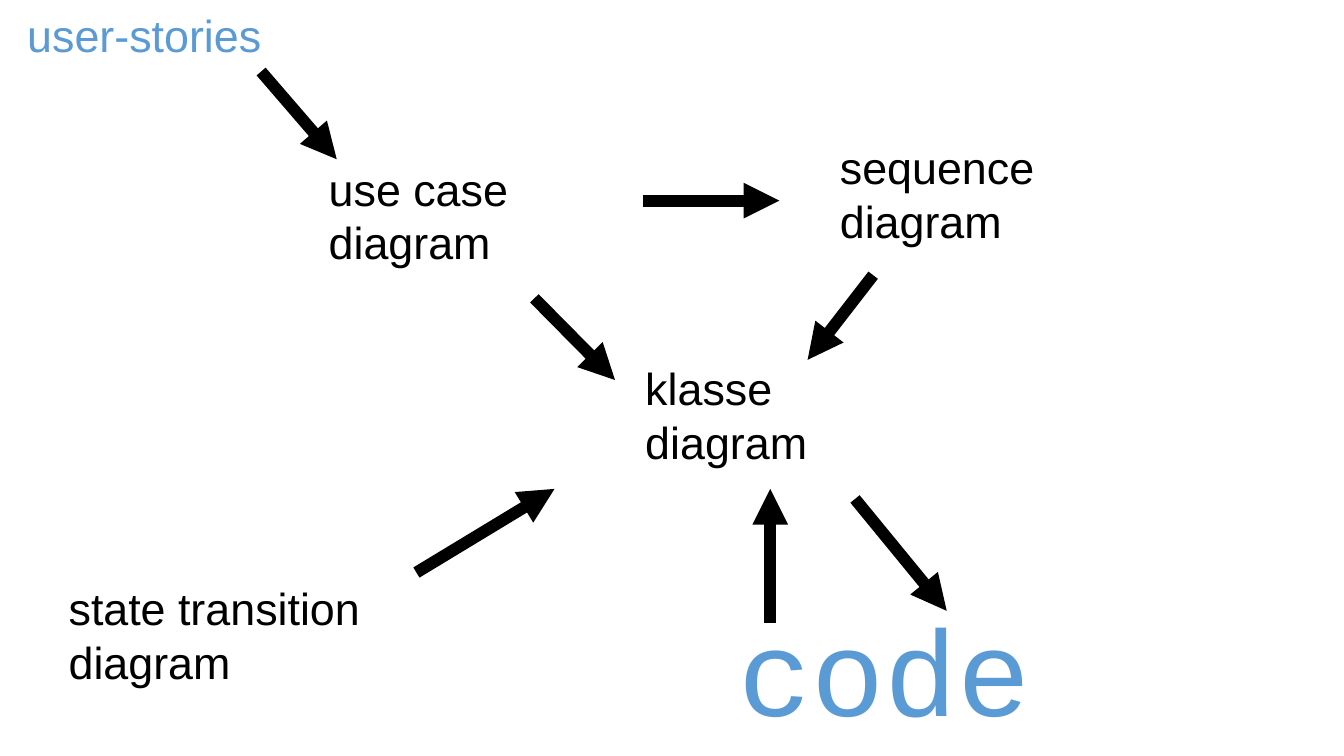
from lxml import etree
from pptx import Presentation
from pptx.dml.color import RGBColor
from pptx.enum.shapes import MSO_CONNECTOR
from pptx.enum.text import MSO_ANCHOR, PP_ALIGN
from pptx.oxml.ns import qn
from pptx.util import Inches, Pt

STRAIGHT = MSO_CONNECTOR.STRAIGHT
TOP = MSO_ANCHOR.TOP
LEFT = PP_ALIGN.LEFT
COLORS = {"diagram": "000000", "artifact": "5B9BD5", "background": "FFFFFF"}

DIAGRAMS = [
    (["use case", "diagram"], (3.17, 1.52, 2.7, 1.33)),
    (["klasse", "diagram"], (6.31, 3.5, 2.36, 1.33)),
    (["sequence", "diagram"], (8.24, 1.31, 3, 1.33)),
    (["state transition", "diagram"], (0.59, 5.68, 4.21, 1.33)),
]
ARROWS = [
    ((2.59, 0.71), (3.34, 1.58)),
    ((5.3, 2.96), (6.1, 3.77)),
    ((6.38, 1.99), (7.73, 1.99)),
    ((8.66, 2.73), (8.01, 3.57)),
    ((4.13, 5.68), (5.5, 4.85)),
    ((7.64, 6.18), (7.64, 4.85)),
    ((8.48, 4.95), (9.39, 6.06)),
]


def add_text(slide, lines, box, *, size=32, font="Arial", color="diagram",
             inset_top=0.08, spacing=1.0, wrap=True):
    """Write one paragraph per line in a text box."""
    shape = slide.shapes.add_textbox(*map(Inches, box))
    frame = shape.text_frame
    frame.word_wrap = wrap
    frame.vertical_anchor = TOP
    frame.margin_left = frame.margin_right = Inches(0.09)
    frame.margin_top = Inches(inset_top)
    frame.margin_bottom = Inches(0.04)
    frame.text = "\n".join(lines)
    for paragraph in frame.paragraphs:
        paragraph.alignment = LEFT
        paragraph.line_spacing = spacing
        paragraph.font.size = Pt(size)
        paragraph.font.name = font
        paragraph.font.color.rgb = RGBColor.from_string(COLORS[color])


def add_arrow(slide, start, end, width=8.5):
    """Draw a thick arrow from start to end."""
    connector = slide.shapes.add_connector(STRAIGHT, *map(Inches, start + end))
    connector.line.width = Pt(width)
    connector.line.color.rgb = RGBColor.from_string(COLORS["diagram"])
    line = connector.line._get_or_add_ln()
    etree.SubElement(line, qn("a:tailEnd"), type="triangle")
    etree.SubElement(connector._element.spPr, qn("a:effectLst"))


def add_flow(slide, box):
    """Place the artifacts, diagrams and arrows relative to the box."""
    left, top = box[:2]

    def place(area):
        """Shift an area by the corner of the box."""
        return (left + area[0], top + area[1]) + area[2:]

    add_text(slide, ["user-stories"], place((0.18, 0, 4.11, 0.71)), color="artifact")
    for lines, area in DIAGRAMS:
        add_text(slide, lines, place(area))
    add_text(slide, ["code"], place((7.23, 5.9, 3.86, 1.46)), size=87.1,
             font="Courier New", color="artifact", inset_top=0.12, spacing=0.94)
    for start, end in ARROWS:
        add_arrow(slide, place(start), place(end))


def main():
    """Build and save the slide."""
    presentation = Presentation()
    presentation.slide_width = Inches(13.33)
    presentation.slide_height = Inches(7.5)
    slide = presentation.slides.add_slide(presentation.slide_layouts[6])
    fill = slide.background.fill
    fill.solid()
    fill.fore_color.rgb = RGBColor.from_string(COLORS["background"])
    add_flow(slide, (0, 0, 13.33, 7.5))
    presentation.save("out.pptx")


if __name__ == "__main__":
    main()
